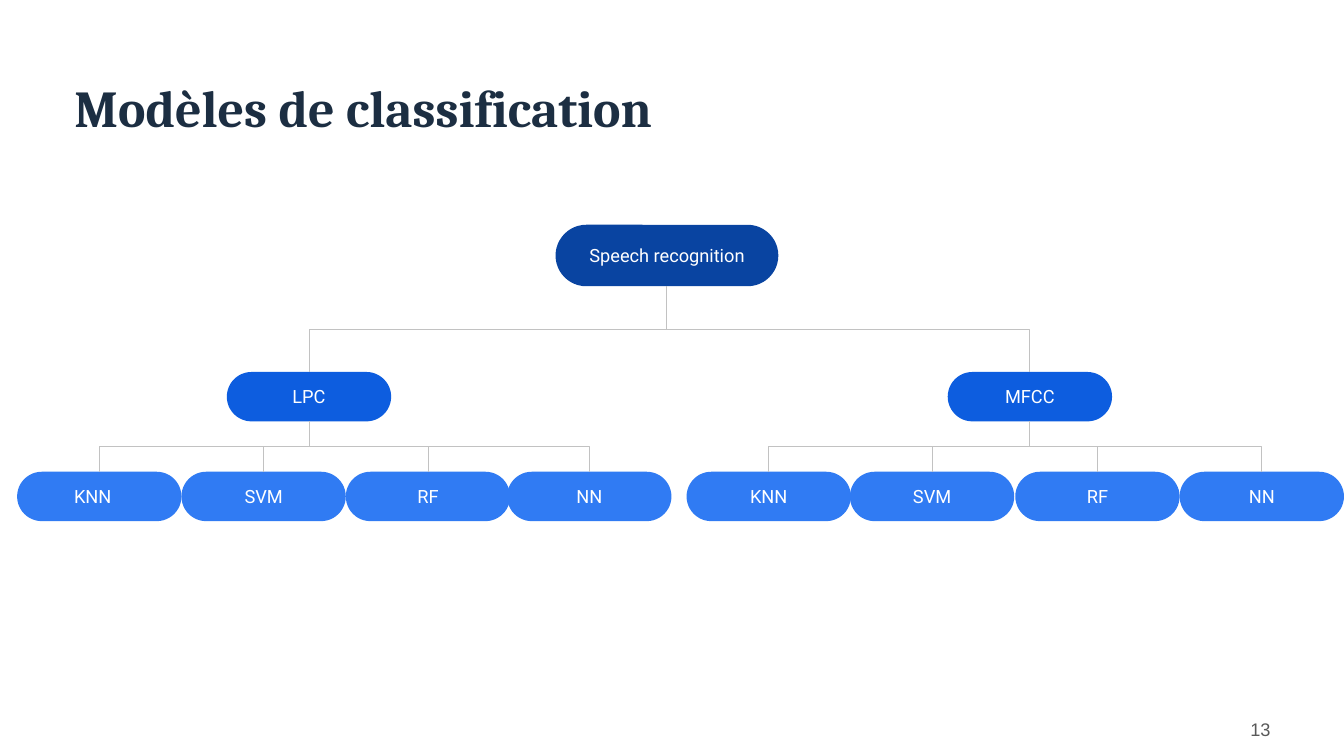
"""Build the classification models slide with its tree of speech features."""
from pptx import Presentation
from pptx.dml.color import RGBColor
from pptx.enum.shapes import MSO_CONNECTOR as Link, MSO_SHAPE as Preset
from pptx.enum.text import MSO_ANCHOR as Anchor, PP_ALIGN as Align
from pptx.oxml.ns import qn
from pptx.util import Inches, Pt
from lxml.etree import SubElement

TITLE = "Modèles de classification"
PAGE_NUMBER = "13"
ROOT = ("Speech recognition", 5.51)
BRANCHES = [
    ("LPC", 2.25, [("KNN\t", 0.17), ("SVM", 1.8), ("RF", 3.43), ("NN", 5.03)]),
    ("MFCC", 9.4, [("KNN", 6.81), ("SVM", 8.43), ("RF", 10.07), ("NN", 11.7)]),
]
LEVELS = {
    "root": (2.23, 2.21, 0.61),
    "branch": (3.69, 1.63, 0.49),
    "leaf": (4.68, 1.63, 0.49),
}
COLORS = {
    "root": "0944A1", "branch": "0D5DDF", "leaf": "307BF3", "line": "C2C2C2",
    "label": "FFFFFF", "title": "1C2E42", "number": "595959",
}


def write(shape, text, font, size, color, align, anchor, margins, bold=False):
    frame = shape.text_frame
    frame.word_wrap = True
    frame.vertical_anchor = anchor
    frame.margin_left = frame.margin_right = Inches(margins[0])
    frame.margin_top = frame.margin_bottom = Inches(margins[1])
    para = frame.paragraphs[0]
    para.text = text
    para.alignment = align
    for span in para.runs:
        span.font.name = font
        span.font.size = Pt(size)
        span.font.bold = bold
        span.font.color.rgb = RGBColor.from_string(COLORS[color])


def add_text(page, area, *style, **options):
    write(page.shapes.add_textbox(*map(Inches, area)), *style, **options)


def add_node(page, level, label, left):
    top, width, height = LEVELS[level]
    area = map(Inches, (left, top, width, height))
    pill = page.shapes.add_shape(Preset.ROUNDED_RECTANGLE, *area)
    pill.adjustments[0] = 0.5
    pill.shadow.inherit = False
    pill.fill.solid()
    pill.fill.fore_color.rgb = RGBColor.from_string(COLORS[level])
    pill.line.fill.background()
    write(pill, label, "Roboto", 13, "label", Align.CENTER, Anchor.MIDDLE, (0.13, 0.13))
    return left + width / 2, top, top + height


def add_branch_line(page, parent, child):
    start_x, _, start_y = parent
    end_x, end_y, _ = child
    middle_x, middle_y = (start_x + end_x) / 2, (start_y + end_y) / 2
    half_drop, half_spread = (end_y - start_y) / 2, abs(end_x - start_x) / 2
    side = 1 if end_x > start_x else -1
    ends = (middle_x + side * half_drop, middle_y - half_spread,
            middle_x - side * half_drop, middle_y + half_spread)
    line = page.shapes.add_connector(Link.ELBOW, *map(Inches, ends))
    line.line.color.rgb = RGBColor.from_string(COLORS["line"])
    line.line.width = Pt(0.75)
    properties = line._element.spPr
    properties.find(qn("a:xfrm")).set("rot", str((180 + side * 90) * 60000))
    SubElement(properties, qn("a:effectLst"))


def main():
    deck = Presentation()
    deck.slide_width, deck.slide_height = Inches(13.33), Inches(7.5)
    page = deck.slides.add_slide(deck.slide_layouts[6])
    add_text(page, (0.64, 0.52, 12.06, 0.9), TITLE, "Cambria", 37, "title",
             Align.LEFT, Anchor.BOTTOM, (0.1, 0.05), bold=True)
    root = add_node(page, "root", *ROOT)
    for label, left, leaves in BRANCHES:
        branch = add_node(page, "branch", label, left)
        add_branch_line(page, root, branch)
        for leaf in leaves:
            add_branch_line(page, branch, add_node(page, "leaf", *leaf))
    add_text(page, (11.55, 7.03, 1.15, 0.4), PAGE_NUMBER, "Arial", 13, "number",
             Align.RIGHT, Anchor.MIDDLE, (0.1, 0.05))
    deck.save("out.pptx")


if __name__ == "__main__":
    main()
